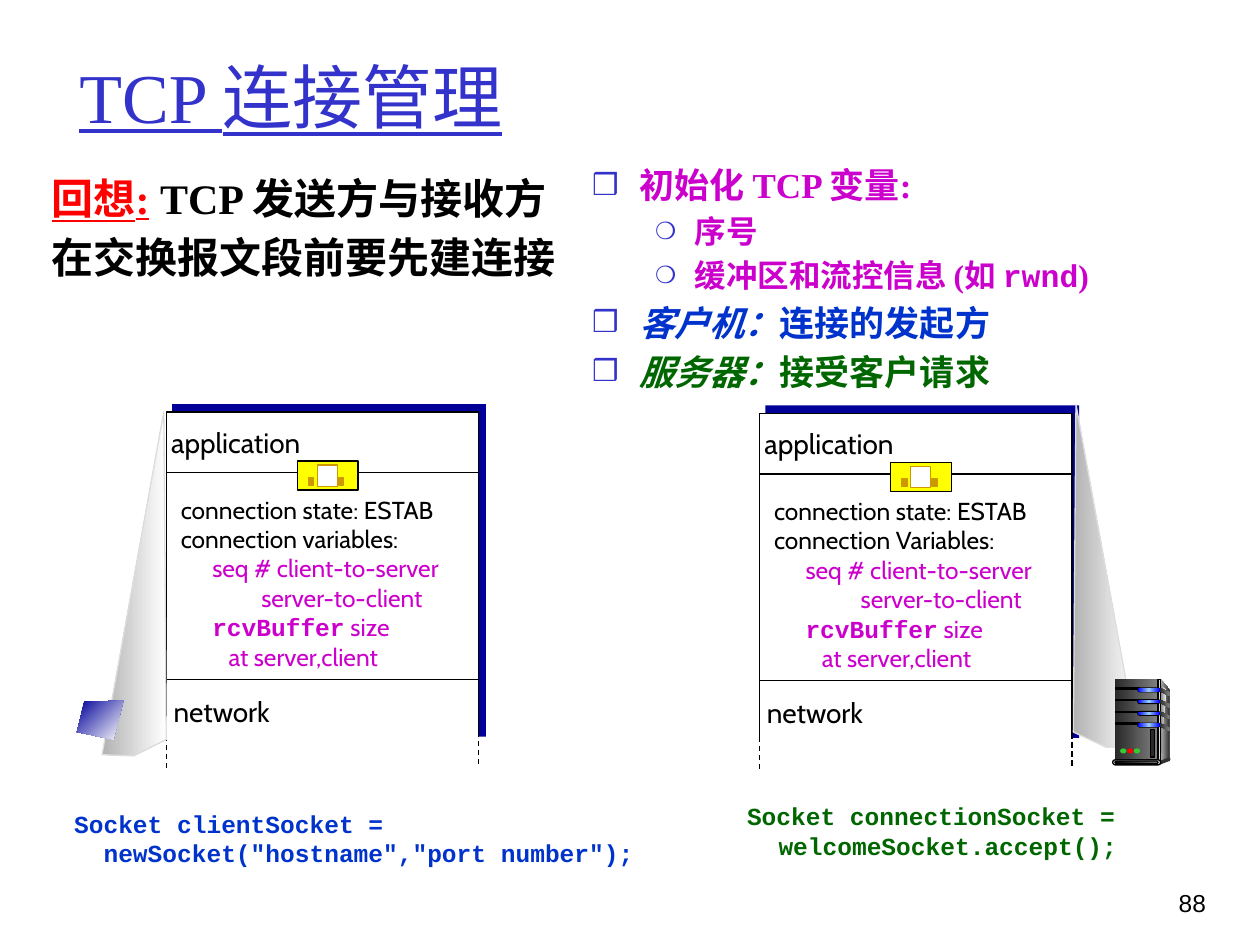
from dataclasses import dataclass, replace
from lxml.etree import SubElement
from pptx import Presentation
from pptx.dml.color import RGBColor
from pptx.enum.dml import MSO_LINE_DASH_STYLE as Dash
from pptx.enum.shapes import MSO_CONNECTOR as Conn, MSO_SHAPE as Shape
from pptx.enum.text import MSO_ANCHOR as Anchor, MSO_AUTO_SIZE as Fit, PP_ALIGN as Align
from pptx.oxml.ns import qn
from pptx.util import Pt


@dataclass(frozen=True)
class Font:
    """Look of a run of text."""
    size: float
    name: str
    color: str
    bold: bool = False
    italic: bool = False
    underline: bool = False


class Theme:
    """Colours and type styles of the slide."""
    black, white, navy, yellow, gold = "000000", "FFFFFF", "000099", "FFFF00", "CC9900"
    purple, blue, green, red, indigo = "CC00CC", "0033CC", "006600", "FF0000", "3333CC"
    pale, dark, lime = "DDDDDD", "333333", "33CC33"
    beam, screen = ("B2B2B2", "FFFFFF"), ("000099", "FFFFFF")
    steel, side, sheen = ("292929", "808080"), ("DDDDDD", "333333"), ("808080", "F8F8F8")
    glow, edge, base = ("0000FF", "99CCFF", "0000FF"), ("333333", "DDDDDD", "333333"), ("000000", "808080")
    title = Font(40, "Times New Roman", indigo, underline=True)
    lead = Font(24, "Times New Roman", black, bold=True)
    item = Font(20, "Times New Roman", purple, bold=True)
    sub = replace(item, size=18)
    label = Font(16, "Cabin", black)
    state = Font(14, "Cabin", black)
    detail = replace(state, color=purple)
    code = Font(14, "Courier New", purple, bold=True)
    number = Font(14, "Arial", black)


class Board:
    """Draws styled elements on the current slide, in points."""

    def __init__(self, slide, theme):
        self.slide, self.theme, self.shapes = slide, theme, slide.shapes

    def group(self):
        """Send the next shapes to a new group."""
        self.shapes = self.slide.shapes.add_group_shape().shapes

    def ungroup(self):
        """Send the next shapes to the slide again."""
        self.shapes = self.slide.shapes

    def paint(self, sp, fill, line=None):
        """Give a shape its solid or gradient fill and its outline."""
        sp.shadow.inherit = False
        if isinstance(fill, tuple):
            sp.fill.gradient()
            sp.fill.gradient_angle = 315 if fill == self.theme.screen else 0
            stops = sp._element.spPr.find(".//" + qn("a:gsLst"))
            for stop in list(stops):
                stops.remove(stop)
            for i, color in enumerate(fill):
                stop = SubElement(stops, qn("a:gs"), pos=str(100000 * i // (len(fill) - 1)))
                SubElement(stop, qn("a:srgbClr"), val=color)
        else:
            sp.fill.solid()
            sp.fill.fore_color.rgb = RGBColor.from_string(fill)
        if line:
            sp.line.color.rgb = RGBColor.from_string(line)
            sp.line.width = Pt(0.75)
        else:
            sp.line.fill.background()

    def shape(self, x, y, w, h, fill, line=None, kind=Shape.RECTANGLE):
        """Add a preset shape."""
        sp = self.shapes.add_shape(kind, Pt(x), Pt(y), Pt(w), Pt(h))
        if kind == Shape.ROUNDED_RECTANGLE:
            sp.adjustments[0] = 0.5
        self.paint(sp, fill, line)

    def polygon(self, points, fill, line=None, x=0, y=0):
        """Add a closed outline, its points relative to x and y."""
        corners = [(Pt(x + px), Pt(y + py)) for px, py in points]
        builder = self.shapes.build_freeform(*corners[0], scale=1.0)
        builder.add_line_segments(corners[1:], close=True)
        self.paint(builder.convert_to_shape(), fill, line)

    def line(self, x1, y1, x2, y2, dashed=False):
        """Add a thin straight line."""
        cx = self.shapes.add_connector(Conn.STRAIGHT, Pt(x1), Pt(y1), Pt(x2), Pt(y2))
        cx.line.color.rgb = RGBColor.from_string(self.theme.black)
        cx.line.width = Pt(0.75)
        if dashed:
            cx.line.dash_style = Dash.DASH
        SubElement(cx._element.spPr, qn("a:effectLst"))

    def paragraph(self, tf, first, runs, left=0, hang=0, before=0, bullet=None, level=0, align=Align.LEFT):
        """Write one paragraph made of (text, font) runs."""
        p = tf.paragraphs[0] if first else tf.add_paragraph()
        p.level, p.alignment = level, align
        p.space_before = Pt(0 if first else before)
        pPr = p._p.get_or_add_pPr()
        pPr.set("marL", str(Pt(left)))
        pPr.set("indent", str(Pt(-hang)))
        if bullet:
            color = SubElement(pPr, qn("a:buClr"))
            SubElement(color, qn("a:srgbClr"), val=self.theme.indigo)
            SubElement(pPr, qn("a:buSzPct"), val="75000" if level else "85000")
            SubElement(pPr, qn("a:buChar"), char=bullet)
        else:
            SubElement(pPr, qn("a:buNone"))
        for text, font in runs:
            r = p.add_run()
            r.text = text
            r.font.size, r.font.name = Pt(font.size), font.name
            r.font.bold, r.font.italic, r.font.underline = font.bold, font.italic, font.underline
            r.font.color.rgb = RGBColor.from_string(font.color)

    def text(self, x, y, w, h, paragraphs, holder=None, anchor=Anchor.TOP, wrap=True):
        """Fill a placeholder or a new text box with (runs, options) paragraphs."""
        sp = holder or self.shapes.add_textbox(Pt(x), Pt(y), Pt(w), Pt(h))
        sp.left, sp.top, sp.width, sp.height = Pt(x), Pt(y), Pt(w), Pt(h)
        tf = sp.text_frame
        tf.auto_size, tf.word_wrap, tf.vertical_anchor = Fit.NONE, wrap, anchor
        for i, (runs, options) in enumerate(paragraphs):
            self.paragraph(tf, i == 0, runs, **options)

    def host(self, x, y, variables, reply_left):
        """Draw one protocol stack with its connection state."""
        t = self.theme
        self.shape(x + 3.4, y - 4.5, 179.3, 190, t.navy)
        self.shape(x, y, 178.6, 194.4, t.white, t.black)
        self.line(x, y + 34.6, x + 178.6, y + 34.6)
        self.text(x + 1.2, y + 43.6, 183.6, 126, [
            ([("connection state: ESTAB", t.state)], {}),
            ([(variables, t.state)], {}),
            ([("seq # client-to-server", t.detail)], dict(left=18)),
            ([("server-to-client", t.detail)], dict(left=reply_left)),
            ([("rcvBuffer", t.code), (" size", t.detail)], dict(left=18)),
            ([("at server,client", t.detail)], dict(left=27.3))])
        self.group()
        self.shape(x + 75, y + 28, 34.6, 16.6, t.yellow, t.black)
        self.shape(x + 86.4, y + 30.2, 11.5, 12.2, t.white, t.gold)
        for dx in (81.4, 98.6):
            self.shape(x + dx, y + 37.4, 2.9, 4.3, t.gold, t.gold)
        self.ungroup()
        self.line(x, y + 152.6, x + 178.6, y + 152.6)
        for name, dx, dy, w in (("application", -4.3, 4.3, 90), ("network", -2.9, 157.7, 71.3)):
            self.text(x + dx, y + dy, w, 26.6, [([(name, t.label)], {})], wrap=False)
        self.shape(x - 2.2, y + 185.8, 183.6, 14.4, t.white)
        for dx, dy in ((0, 185), (178.6, 182.9)):
            self.line(x + dx, y + dy, x + dx, y + dy + 18.7, dashed=True)

    def tower(self, x, y):
        """Draw the server computer."""
        t, pill = self.theme, Shape.ROUNDED_RECTANGLE
        self.group()
        self.polygon([(26, 0), (31, 5.8), (31, 44.6), (24.5, 46.8)], t.side, x=x, y=y)
        self.shape(x, y, 24.5, 46.8, t.steel)
        self.polygon([(26, 3), (29.5, 6.5), (27, 30), (26, 46)], t.sheen, x=x, y=y)
        self.shape(x + 24.5, y, 1.4, 46.8, t.edge, t.black)
        for i in range(4):
            top = y + 4.7 + 6.7 * i
            self.shape(x + 0.4, top + 0.3, 13.6, 0.7, t.black, t.black)
            self.shape(x + 12.6, top, 13.3, 2.9, t.black, kind=pill)
            self.shape(x + 13, top + 0.4, 12.6, 2, t.glow, kind=pill)
            self.polygon([(25.6, 0.3), (31, 2.8), (31, 4.9), (25.6, 2.3)], t.steel, x=x, y=top)
        self.shape(x + 30.2, y + 44.6, 1.4, 2.2, t.dark, kind=Shape.OVAL)
        self.polygon([(25.2, 46.8), (25.2, 49), (31, 46.8), (31, 44.6)], t.dark, x=x, y=y)
        self.shape(x - 1.4, y + 46.1, 27.4, 2.9, t.pale, t.black, pill)
        self.shape(x, y + 46.8, 24.5, 1.4, t.base, t.black, pill)
        for i, color in enumerate((t.lime, t.red, t.lime)):
            self.shape(x + 2.9 + 3.9 * i, y + 39.6, 3.6, 2.9, color, kind=Shape.OVAL)
        self.shape(x + 20.2, y + 28.8, 2.2, 15.8, t.steel[0], t.black)
        self.ungroup()


def main():
    """Build and save the slide."""
    prs = Presentation()
    prs.slide_width, prs.slide_height = Pt(720), Pt(540)
    s = prs.slides.add_slide(prs.slide_layouts[3])
    t = Theme()
    b = Board(s, t)
    title, recall, setup = s.placeholders
    b.text(643, 504, 53.3, 36, [([("88", t.number)], dict(align=Align.RIGHT))])
    b.text(38.2, 19.4, 612, 70.6, [([("TCP 连接管理", t.title)], {})], title, Anchor.MIDDLE)
    hang = dict(left=27, hang=27, before=4.8)
    b.text(22.3, 95, 307.4, 79.2, [
        ([("回想:", replace(t.lead, color=t.red, underline=True)), (" TCP 发送方与接收方", t.lead)], hang),
        ([("在交换报文段前要先建连接", t.lead)], hang)], recall)
    main_item = dict(left=27, hang=27, before=4, bullet="❒")
    sub_item = dict(left=58.5, hang=22.5, before=3.6, bullet="❍", level=1)
    client, server = replace(t.item, color=t.blue), replace(t.item, color=t.green)
    b.text(331.2, 90, 382.3, 137.5, [
        ([("初始化 TCP 变量:", t.item)], main_item),
        ([("序号", t.sub)], sub_item),
        ([("缓冲区和流控信息 (如 ", t.sub), ("rwnd", replace(t.code, size=18)), (")", t.sub)], sub_item),
        ([("客户机：", replace(client, italic=True)), ("连接的发起方", client)], main_item),
        ([("服务器：", replace(server, italic=True)), ("接受客户请求", server)], main_item)], setup)
    b.host(95, 235.5, "connection variables:", 46)
    b.polygon([(58.3, 431.3), (93.6, 235.4), (95, 422.6), (76.3, 432), (58.3, 431.3)], t.beam, t.pale)
    b.host(434, 236.2, "connection Variables:", 49.5)
    b.polygon([(650.2, 426.2), (614.9, 231.1), (613.4, 418.3), (632.2, 427), (650.2, 426.2)], t.beam, t.pale)
    code_line = dict(left=18, hang=18)
    client_code, server_code = replace(t.code, color=t.blue), replace(t.code, color=t.green)
    b.text(35.3, 458.6, 337.7, 41, [
        ([("Socket clientSocket =", client_code)], code_line),
        ([('  newSocket("hostname","port number");', client_code)], code_line)])
    b.text(419.8, 454.3, 227.5, 41, [
        ([("Socket connectionSocket = welcomeSocket.accept();", server_code)], code_line)])
    b.polygon([(70.6, 400.3), (48.2, 401), (43.9, 418.3), (64.8, 422.6)], t.screen)
    b.tower(637.2, 388.1)
    prs.save("out.pptx")


if __name__ == "__main__":
    main()
